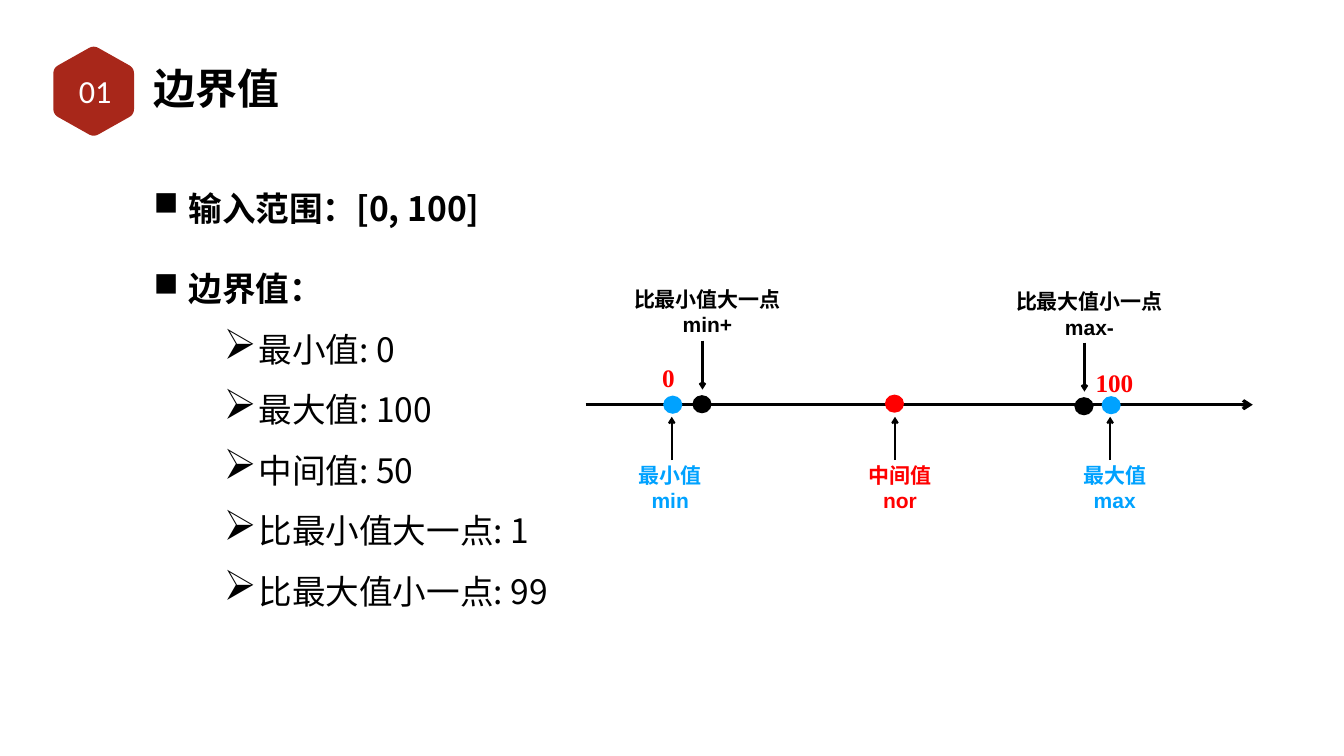
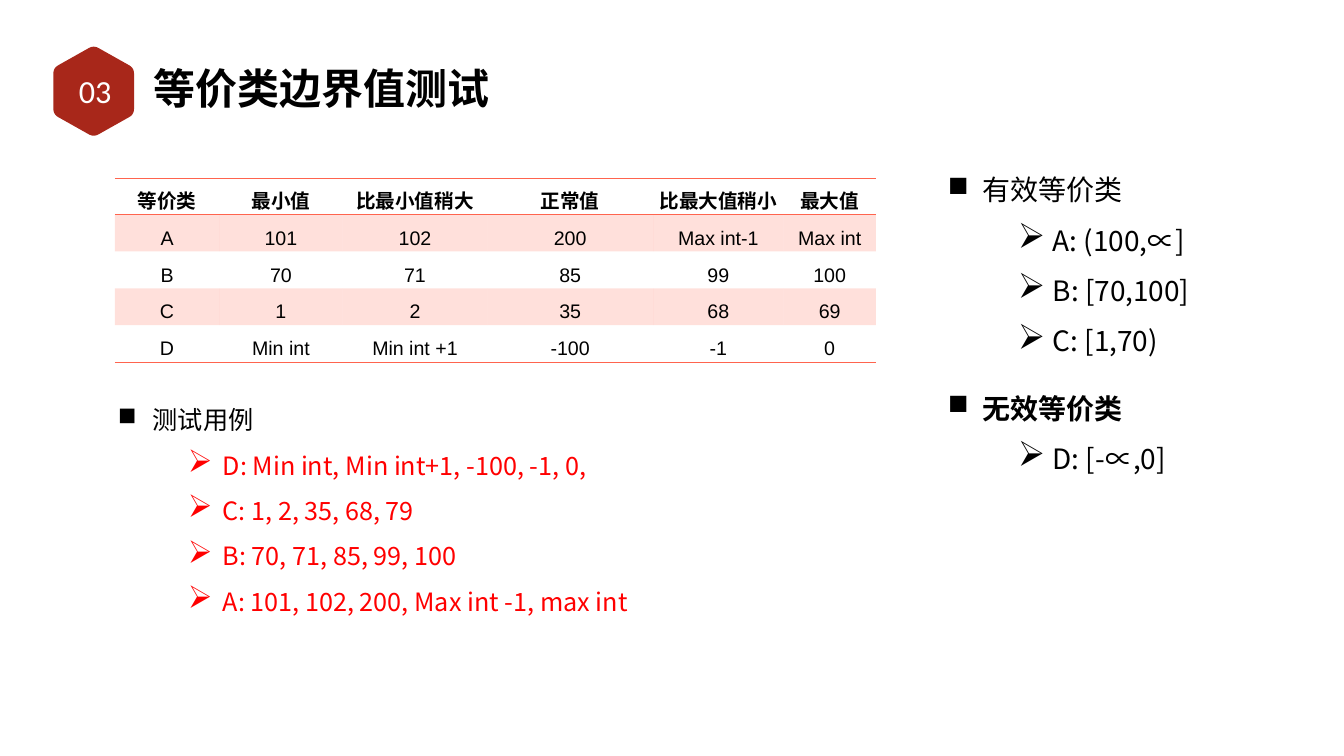
import math
from dataclasses import dataclass
from typing import Any, Optional

from lxml import etree
from pptx import Presentation
from pptx.dml import color
from pptx.enum import shapes, text
from pptx.oxml import ns
from pptx.util import Inches, Pt

SANS, LATIN, NUMBER, SERIF = "Noto Sans CJK SC", "Arial", "Calibri", "Times New Roman"
BLACK, WHITE, RED, BLUE = "000000", "FFFFFF", "FF0000", "00A2FF"
BADGE, CORAL = "A8271A", "FF644E"
NO_TABLE_STYLE = "{2D5ABB26-0587-4C30-8999-92F81FD0307C}"
CENTER = text.PP_ALIGN.CENTER


@dataclass(frozen=True)
class Style:
    size: float
    font: str = SANS
    color: str = BLACK
    bold: bool = False


@dataclass(frozen=True)
class Area:
    left: float
    top: float
    width: float
    height: float

    def lengths(self) -> list[int]:
        return [Inches(v) for v in (self.left, self.top, self.width, self.height)]


@dataclass(frozen=True)
class Item:
    words: str
    level: int = 1
    bold: bool = False
    color: str = BLACK


@dataclass(frozen=True)
class Level:
    margin: float
    spacing: float
    bullet: str
    percent: int


@dataclass(frozen=True)
class Marker:
    words: tuple[str, str]
    dot_x: float
    dot_y: float
    arrow_x: float
    label_x: float
    label_width: float
    color: str
    above: bool = False


LEVELS = {1: Level(0.69, 2.0, "■", 100), 2: Level(2.08, 1.5, "➢", 125)}

RANGE_ITEMS = [
    Item("输入范围：[0, 100]", bold=True),
    Item("边界值：", bold=True),
    Item("最小值: 0", 2),
    Item("最大值: 100", 2),
    Item("中间值: 50", 2),
    Item("比最小值大一点: 1", 2),
    Item("比最大值小一点: 99", 2),
]
CLASS_ITEMS = [
    Item("有效等价类"),
    Item("A: (100,∝]", 2),
    Item("B: [70,100]", 2),
    Item("C: [1,70)", 2),
    Item("无效等价类", bold=True),
    Item("D: [-∝,0]", 2),
]
CASE_ITEMS = [
    Item("测试用例"),
    Item("D: Min int, Min int+1, -100, -1, 0,", 2, color=RED),
    Item("C: 1, 2, 35, 68, 79", 2, color=RED),
    Item("B: 70, 71, 85, 99, 100", 2, color=RED),
    Item("A: 101, 102, 200, Max int -1, max int", 2, color=RED),
]
MARKERS = [
    Marker(("最小值", "min"), 13.35, 8.03, 13.33, 13.3, 1.37, BLUE),
    Marker(("最大值", "max"), 22.05, 8.04, 22.03, 22.12, 1.37, BLUE),
    Marker(("比最小值大一点", "min+"), 13.93, 8.02, 13.94, 14.04, 3.06, BLACK, True),
    Marker(("比最大值小一点", "max-"), 21.51, 8.06, 21.52, 21.62, 3.06, BLACK, True),
    Marker(("中间值", "nor"), 17.75, 8.01, 17.76, 17.86, 1.37, RED),
]
COLUMN_WIDTHS = [2.07, 2.45, 2.87, 3.29, 2.59, 1.83]
BOUNDARY_ROWS = [
    ["等价类", "最小值", "比最小值稍大", "正常值", "比最大值稍小", "最大值"],
    ["A", "101", "102", "200", "Max int-1", "Max int"],
    ["B", "70", "71", "85", "99", "100"],
    ["C", "1", "2", "35", "68", "69"],
    ["D", "Min int", "Min int +1", "-100", "-1", "0"],
]


def rgb(value: str) -> color.RGBColor:
    return color.RGBColor.from_string(value)


def apply(target: Any, values: dict[str, Any]) -> None:
    for name, value in values.items():
        setattr(target, name, value)


def add_xml(parent: Any, tag: str, **attributes: str) -> Any:
    return etree.SubElement(parent, ns.qn(tag), attributes)


def write(para: Any, words: str, style: Style) -> None:
    span = para.add_run()
    span.text = words
    apply(span.font, {"size": Pt(style.size), "name": style.font, "bold": style.bold})
    span.font.color.rgb = rgb(style.color)
    add_xml(span.font._element, "a:ea", typeface=style.font)


def add_box(page: Any, area: Area, inset: float = 0.06, grow: bool = False) -> Any:
    frame = page.shapes.add_textbox(*area.lengths()).text_frame
    sides = ("left", "right", "top", "bottom")
    apply(frame, {f"margin_{side}": Inches(inset) for side in sides})
    fit = text.MSO_AUTO_SIZE
    apply(frame, {
        "word_wrap": not grow,
        "auto_size": fit.SHAPE_TO_FIT_TEXT if grow else fit.NONE,
        "vertical_anchor": text.MSO_ANCHOR.MIDDLE,
    })
    return frame


def add_lines(frame: Any, lines: tuple[str, ...], style: Style, align: Optional[Any] = CENTER) -> None:
    for index, words in enumerate(lines):
        para = frame.add_paragraph() if index else frame.paragraphs[0]
        para.alignment = align
        write(para, words, style)


def add_bullets(page: Any, area: Area, items: list[Item], size: float) -> None:
    frame = add_box(page, area)
    for index, item in enumerate(items):
        para = frame.add_paragraph() if index else frame.paragraphs[0]
        level = LEVELS[item.level]
        apply(para, {"level": item.level - 1, "line_spacing": level.spacing})
        props = para._p.get_or_add_pPr()
        props.set("marL", str(Inches(level.margin)))
        props.set("indent", str(-Inches(0.69)))
        add_xml(props, "a:buSzPct", val=str(level.percent * 1000))
        add_xml(props, "a:buChar", char=level.bullet)
        write(para, item.words, Style(size, color=item.color, bold=item.bold))


def paint(shape: Any, fill: str) -> None:
    shape.shadow.inherit = False
    shape.fill.solid()
    shape.fill.fore_color.rgb = rgb(fill)
    shape.line.fill.background()


def add_badge(page: Any) -> None:
    center_x, center_y, cut, steps = 1.86, 1.81, 0.11, 6
    corners = [(0, -0.91), (0.8, -0.46), (0.8, 0.46), (0, 0.91), (-0.8, 0.46), (-0.8, -0.46)]
    points = []
    for index, corner in enumerate(corners):
        ends = []
        for near in (corners[index - 1], corners[(index + 1) % len(corners)]):
            share = cut / math.dist(corner, near)
            ends.append([c + (n - c) * share for c, n in zip(corner, near)])
        for step in range(steps + 1):
            t = step / steps
            x, y = (a * (1 - t) ** 2 + 2 * c * t * (1 - t) + b * t ** 2
                    for a, c, b in zip(ends[0], corner, ends[1]))
            points.append((Inches(center_x + x), Inches(center_y + y)))
    builder = page.shapes.build_freeform(*points[0])
    builder.add_line_segments(points[1:], close=True)
    paint(builder.convert_to_shape(), BADGE)


def add_page(deck: Any, number: str, title: str, title_width: float) -> Any:
    page = deck.slides.add_slide(deck.slide_layouts[6])
    add_badge(page)
    add_lines(add_box(page, Area(2.99, 1.18, title_width, 1.14)), (title,), Style(60, bold=True), None)
    add_lines(add_box(page, Area(1.02, 1.27, 1.74, 1.05), 0.05), (number,), Style(46, NUMBER, WHITE))
    return page


def add_arrow(page: Any, start: tuple[float, float], end: tuple[float, float], width: float) -> None:
    ends = [Inches(value) for value in (*start, *end)]
    arrow = page.shapes.add_connector(shapes.MSO_CONNECTOR.STRAIGHT, *ends)
    arrow.line.width = Pt(width)
    arrow.line.color.rgb = rgb(BLACK)
    add_xml(arrow.line._get_or_add_ln(), "a:tailEnd", type="arrow")
    add_xml(arrow._element.spPr, "a:effectLst")


def add_marker(page: Any, marker: Marker) -> None:
    width, height = 0.38, 0.36
    area = Area(marker.dot_x - width / 2, marker.dot_y - height / 2, width, height)
    paint(page.shapes.add_shape(shapes.MSO_SHAPE.OVAL, *area.lengths()), marker.color)
    if marker.above:
        label_top, start, end = (marker.dot_y - gap for gap in (2.39, 1.26, 0.29))
    else:
        label_top, start, end = 9.11, 9.13, 8.27
    add_arrow(page, (marker.arrow_x, start), (marker.arrow_x, end), 3)
    label = Area(marker.label_x - marker.label_width / 2, label_top, marker.label_width, 1.12)
    add_lines(add_box(page, label, grow=True), marker.words, Style(30, LATIN, marker.color, True))


def add_border(props: Any, tag: str) -> None:
    line = add_xml(props, tag, w=str(Pt(1)))
    add_xml(add_xml(line, "a:solidFill"), "a:srgbClr", val=CORAL)


def add_boundary_table(page: Any) -> None:
    area = Area(2.28, 3.53, sum(COLUMN_WIDTHS), 0.41 * len(BOUNDARY_ROWS))
    table = page.shapes.add_table(len(BOUNDARY_ROWS), len(COLUMN_WIDTHS), *area.lengths()).table
    apply(table, {"first_row": False, "horz_banding": False})
    table._tbl.tblPr.find(ns.qn("a:tableStyleId")).text = NO_TABLE_STYLE
    for column, width in zip(table.columns, COLUMN_WIDTHS):
        column.width = Inches(width)
    for row, values in enumerate(BOUNDARY_ROWS):
        for column, words in enumerate(values):
            cell = table.cell(row, column)
            sides = ("left", "right", "top", "bottom")
            apply(cell, {f"margin_{side}": Inches(0.04) for side in sides})
            cell.vertical_anchor = text.MSO_ANCHOR.MIDDLE
            props = cell._tc.get_or_add_tcPr()
            if row == 0:
                add_border(props, "a:lnT")
            if row in (0, len(BOUNDARY_ROWS) - 1):
                add_border(props, "a:lnB")
            if row % 2:
                cell.fill.solid()
                cell.fill.fore_color.rgb = rgb(CORAL)
                add_xml(props.find(".//" + ns.qn("a:solidFill"))[0], "a:alpha", val="20000")
            else:
                cell.fill.background()
            para = cell.text_frame.paragraphs[0]
            apply(para, {"alignment": CENTER, "line_spacing": 1.5})
            write(para, words, Style(28, LATIN, bold=row == 0))


def build_boundary_page(deck: Any) -> None:
    page = add_page(deck, "01", "边界值", 6.02)
    add_bullets(page, Area(2.99, 3.49, 11.29, 8.07), RANGE_ITEMS, 48)
    add_arrow(page, (11.62, 8.03), (24.86, 8.03), 4.5)
    for marker in MARKERS:
        add_marker(page, marker)
    for words, area in (("0", Area(13.08, 7.12, 0.36, 0.72)), ("100", Area(21.68, 7.22, 0.87, 0.72))):
        add_lines(add_box(page, area, grow=True), (words,), Style(36, SERIF, RED, True))


def build_class_page(deck: Any) -> None:
    page = add_page(deck, "03", "等价类边界值测试", 8.71)
    add_bullets(page, Area(18.75, 2.68, 5.36, 6.83), CLASS_ITEMS, 40)
    add_boundary_table(page)
    add_bullets(page, Area(2.28, 6.59, 11.5, 6.47), CASE_ITEMS, 36)


def main() -> None:
    deck = Presentation()
    apply(deck, {"slide_width": Inches(26.67), "slide_height": Inches(15)})
    build_boundary_page(deck)
    build_class_page(deck)
    deck.save("out.pptx")


if __name__ == "__main__":
    main()
